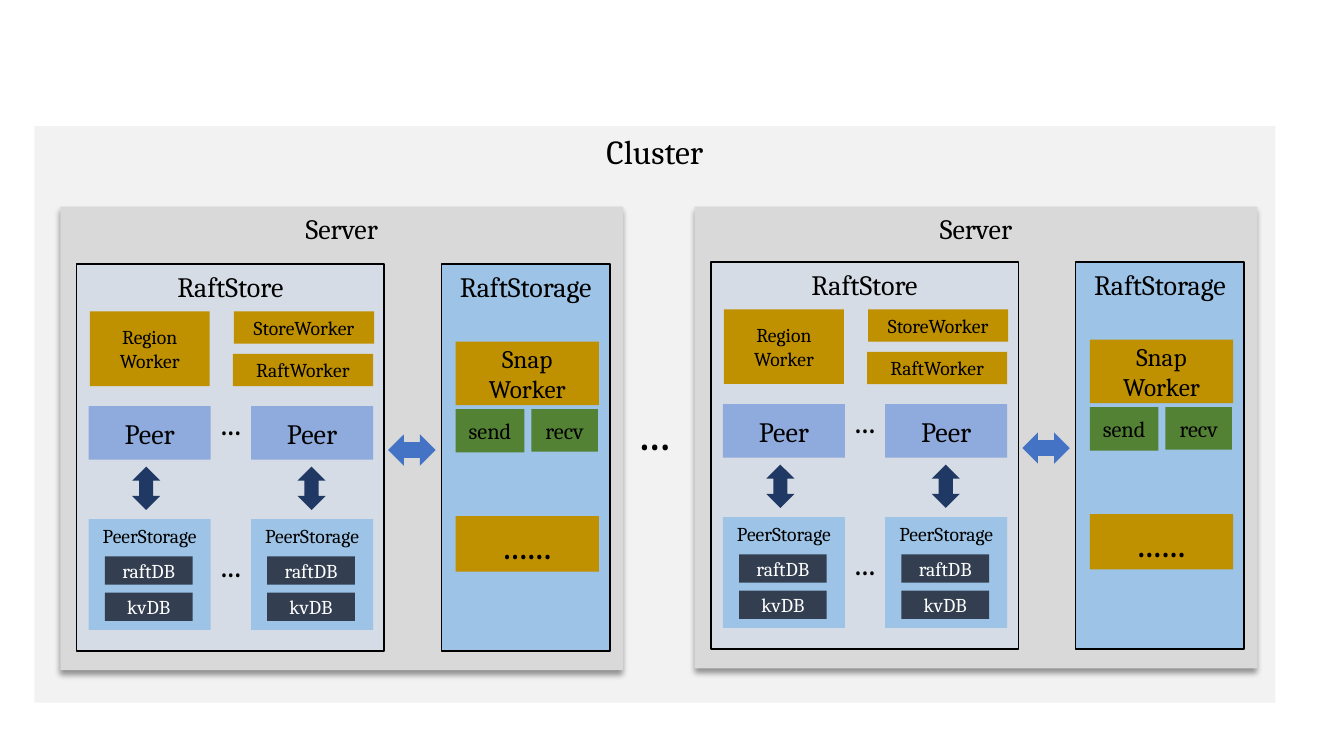
import pptx
import pptx.util
import pptx.dml.color
import pptx.enum.shapes
import pptx.enum.text
import pptx.oxml.ns
from dataclasses import dataclass
from lxml import etree

PX = 9144  # EMU in one px, 100 px to the inch
KIND = pptx.enum.shapes.MSO_SHAPE
ANCHOR = pptx.enum.text.MSO_ANCHOR


@dataclass(frozen=True)
class Theme:
    font: str = "Cambria"
    black: str = "000000"
    white: str = "FFFFFF"
    cluster: str = "F2F2F2"
    server: str = "D9D9D9"
    store: str = "D6DCE5"
    storage: str = "9DC3E6"
    peer: str = "8FAADC"
    base: str = "333F50"
    worker: str = "BF9000"
    link: str = "548235"
    navy: str = "203864"
    blue: str = "4472C4"
    tiny: int = 14
    small: int = 16
    mid: int = 18
    head: int = 20
    title: int = 24
    more: int = 28
    huge: int = 36


THEME = Theme()


def rgb(code):
    return pptx.dml.color.RGBColor.from_string(code)


def inset(box, x, y, wide, high):
    """Box placed relative to the corner of another box."""
    return box[0] + x, box[1] + y, wide, high


def emu(box):
    return [n * PX for n in box]


def write(shape, text, size, color, anchor):
    frame = shape.text_frame
    frame.word_wrap = True
    frame.vertical_anchor = anchor
    frame.text = text
    for para in frame.paragraphs:
        para.alignment = pptx.enum.text.PP_ALIGN.CENTER
        for run in para.runs:
            run.font.name = THEME.font
            run.font.size = pptx.util.Pt(size)
            run.font.color.rgb = rgb(color)


def block(slide, box, fill, text="", size=THEME.tiny, color=THEME.black,
          anchor=ANCHOR.MIDDLE, edge=False, kind=KIND.RECTANGLE):
    shape = slide.shapes.add_shape(kind, *emu(box))
    shape.shadow.inherit = False
    shape.fill.solid()
    shape.fill.fore_color.rgb = rgb(fill)
    if edge:
        shape.line.color.rgb = rgb(THEME.black)
        shape.line.width = pptx.util.Pt(1)
    else:
        shape.line.fill.background()
    if text:
        write(shape, text, size, color, anchor)
    return shape


def panel(slide, box, fill, text, size=THEME.head, edge=False):
    """Block with its heading at the top."""
    return block(slide, box, fill, text, size, anchor=ANCHOR.TOP, edge=edge)


def arrow(slide, box, fill):
    return block(slide, box, fill, kind=KIND.UP_DOWN_ARROW)


def dots(slide, box, size):
    shape = slide.shapes.add_textbox(*emu(box))
    write(shape, "...", size, THEME.black, ANCHOR.MIDDLE)
    shape.text_frame.auto_size = pptx.enum.text.MSO_AUTO_SIZE.SHAPE_TO_FIT_TEXT


def shade(shape):
    """Soft shadow straight below the shape."""
    qn = pptx.oxml.ns.qn
    effects = shape._element.spPr.find(qn("a:effectLst"))
    outer = etree.SubElement(effects, qn("a:outerShdw"), blurRad="50800",
                             dist="38100", dir="5400000", algn="t",
                             rotWithShape="0")
    color = etree.SubElement(outer, qn("a:srgbClr"), val=THEME.black)
    etree.SubElement(color, qn("a:alpha"), val="40000")


def peer(slide, box, axis):
    """Peer, its arrow and its storage, in one column."""
    block(slide, inset(box, 0, 0, 121, 53), THEME.peer, "Peer", THEME.head)
    arrow(slide, inset(box, axis, 60, 28, 43), THEME.navy)
    home = inset(box, 0, 112, 121, 110)
    panel(slide, home, THEME.storage, "PeerStorage", THEME.tiny)
    for row, name in enumerate(("raftDB", "kvDB")):
        block(slide, inset(home, 16, 37 + 36 * row, 87, 28), THEME.base,
              name, color=THEME.white)


def store(slide, box):
    panel(slide, box, THEME.store, "RaftStore", edge=True)
    # Workers
    block(slide, inset(box, 13, 47, 119, 74), THEME.worker, "Region\nWorker")
    for row, name in enumerate(("StoreWorker", "RaftWorker")):
        block(slide, inset(box, 156 - row, 47 + 42 * row, 139, 32),
              THEME.worker, name)
    # Peers
    for x, axis in ((12, 43), (173, 46)):
        peer(slide, inset(box, x, 141, 121, 222), axis)
    for y in (132, 273):
        dots(slide, inset(box, 121, y, 64, 50), THEME.title)


def storage(slide, box):
    panel(slide, box, THEME.storage, "RaftStorage", edge=True)
    block(slide, inset(box, 14, 77, 142, 63), THEME.worker,
          "Snap\nWorker", THEME.mid)
    block(slide, inset(box, 14, 144, 68, 43), THEME.link, "send", THEME.small)
    block(slide, inset(box, 89, 144, 66, 42), THEME.link, "recv", THEME.small)
    block(slide, inset(box, 14, 250, 142, 55), THEME.worker,
          "......", THEME.more)


def server(slide, box):
    shade(panel(slide, box, THEME.server, "Server"))
    # Inner panels stand a fixed way above the bottom edge
    top = box[3] - 403
    store(slide, inset(box, 16, top, 305, 384))
    storage(slide, inset(box, 378, top, 167, 384))
    arrow(slide, inset(box, 333, top + 161, 31, 47), THEME.blue).rotation = 90


def cluster(slide, box):
    panel(slide, box, THEME.cluster, "Cluster", THEME.title)
    server(slide, inset(box, 26, 80, 558, 460))
    server(slide, inset(box, 655, 80, 558, 458))
    dots(slide, inset(box, 579, 266, 73, 71), THEME.huge)


def main():
    deck = pptx.Presentation()
    deck.slide_width = 1333 * PX
    deck.slide_height = 750 * PX
    slide = deck.slides.add_slide(deck.slide_layouts[6])
    cluster(slide, (34, 125, 1231, 572))
    deck.save("out.pptx")


if __name__ == "__main__":
    main()
